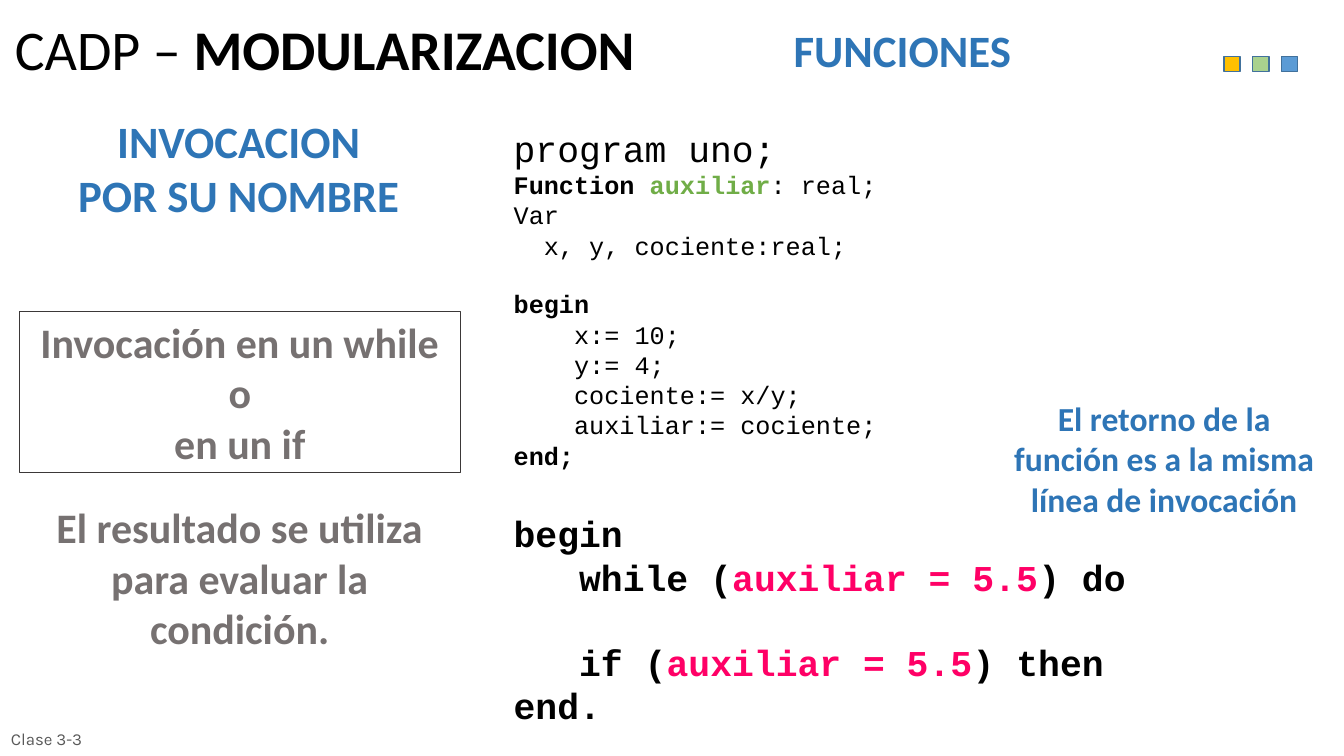
import pptx
import pptx.util
import pptx.dml.color
import pptx.enum.shapes
import pptx.enum.text

Inches = pptx.util.Inches
Pt = pptx.util.Pt
ANCHOR = pptx.enum.text.MSO_ANCHOR
ALIGN = pptx.enum.text.PP_ALIGN
RECT = pptx.enum.shapes.MSO_SHAPE.RECTANGLE

BLACK, BLUE, GRAY = "000000", "2E75B6", "767171"
GREEN, PINK = "70AD47", "FF0066"


def rgb(value):
    return pptx.dml.color.RGBColor.from_string(value)


def add_run(p, text, *, size, font="Calibri", color=BLACK, bold=False):
    r = p.add_run()
    r.text = text
    r.font.name = font
    r.font.size = Pt(size)
    r.font.bold = bold
    r.font.color.rgb = rgb(color)


prs = pptx.Presentation()
prs.slide_width = Inches(13.34)
prs.slide_height = Inches(7.5)
s = prs.slides.add_slide(prs.slide_layouts[6])

sp = s.shapes.add_textbox(Inches(0.05), Inches(0.14), Inches(9.29), Inches(0.76))
tf = sp.text_frame
tf.word_wrap = True
tf.vertical_anchor = ANCHOR.MIDDLE
p = tf.paragraphs[0]
p.line_spacing = 0.9
add_run(p, "CADP – ", size=40)
add_run(p, "MODULARIZACION", size=40, bold=True)

for i, fill in enumerate(["FFC000", "A9D18E", "5B9BD5"]):
    sp = s.shapes.add_shape(RECT, Inches(12.15 + 0.285 * i), Inches(0.56), Inches(0.16), Inches(0.15))
    sp.shadow.inherit = False
    sp.fill.solid()
    sp.fill.fore_color.rgb = rgb(fill)
    sp.line.color.rgb = rgb("41719C")
    sp.line.width = Pt(1)

frame = s.shapes.add_shape(RECT, Inches(0.19), Inches(3.09), Inches(4.38), Inches(1.6))
frame.shadow.inherit = False
frame.fill.background()
frame.line.color.rgb = rgb("3B3838")
frame.line.width = Pt(0.5)
frame.text_frame.word_wrap = True
frame.text_frame.vertical_anchor = ANCHOR.TOP
for i, line in enumerate(["Invocación en un while o", "en un if"]):
    p = frame.text_frame.paragraphs[0] if i == 0 else frame.text_frame.add_paragraph()
    p.alignment = ALIGN.CENTER
    add_run(p, line, size=30, color=GRAY, bold=True)

labels = [
    (7.78, 0.18, 3.7, 0.64, ["FUNCIONES"], 32, BLUE, ALIGN.LEFT),
    (0.52, 1.08, 3.7, 1.17, ["INVOCACION", "POR SU NOMBRE"], 32, BLUE, ALIGN.CENTER),
    (9.9, 3.9, 3.31, 1.3, ["El retorno de la función es a la misma línea de invocación"], 24, BLUE, ALIGN.CENTER),
    (0.32, 4.93, 4.12, 1.6, ["El resultado se utiliza para evaluar la condición."], 30, GRAY, ALIGN.CENTER),
]
for x, y, w, h, lines, size, color, align in labels:
    sp = s.shapes.add_textbox(Inches(x), Inches(y), Inches(w), Inches(h))
    tf = sp.text_frame
    tf.word_wrap = True
    for i, line in enumerate(lines):
        p = tf.paragraphs[0] if i == 0 else tf.add_paragraph()
        p.alignment = align
        add_run(p, line, size=size, color=color, bold=True)

condition = ("auxiliar = 5.5", PINK, True)
code = [
    (26, 0, 0, [("program uno;", BLACK, False)]),
    (18, 0, 0, [("Function ", BLACK, True), ("auxiliar", GREEN, True), (": real;", BLACK, False)]),
    (18, 0, 0, [("Var", BLACK, False)]),
    (18, 2, 0, [("x, y, cociente:real;", BLACK, False)]),
    (18, 0, 1, [("begin", BLACK, True)]),
    (18, 4, 0, [("x:= 10;", BLACK, False)]),
    (18, 4, 0, [("y:= 4;", BLACK, False)]),
    (18, 4, 0, [("cociente:= x/y;", BLACK, False)]),
    (18, 4, 0, [("auxiliar:= cociente;", BLACK, False)]),
    (18, 0, 0, [("end;", BLACK, True)]),
    (26, 0, 1, [("begin", BLACK, True)]),
    (26, 3, 0, [("while (", BLACK, True), condition, (") do", BLACK, True)]),
    (26, 3, 1, [("if (", BLACK, True), condition, (") then", BLACK, True)]),
    (26, 0, 0, [("end.", BLACK, True)]),
]
sp = s.shapes.add_textbox(Inches(5), Inches(1.2), Inches(6.29), Inches(6.13))
tf = sp.text_frame
tf.word_wrap = False
for i, (size, indent, gap, runs) in enumerate(code):
    p = tf.paragraphs[0] if i == 0 else tf.add_paragraph()
    p.space_before = Pt(round(gap * size * 1.13, 1))
    pPr = p._p.get_or_add_pPr()
    pPr.set("marL", str(Pt(indent * size * 0.6)))
    pPr.set("indent", "0")
    for text, color, bold in runs:
        add_run(p, text, size=size, font="Courier New", color=color, bold=bold)

sp = s.shapes.add_textbox(Inches(0.01), Inches(7.13), Inches(2.33), Inches(0.4))
tf = sp.text_frame
tf.word_wrap = True
tf.vertical_anchor = ANCHOR.MIDDLE
add_run(tf.paragraphs[0], "Clase 3-3", size=12, font="Karla", color="595959")

prs.save("out.pptx")
